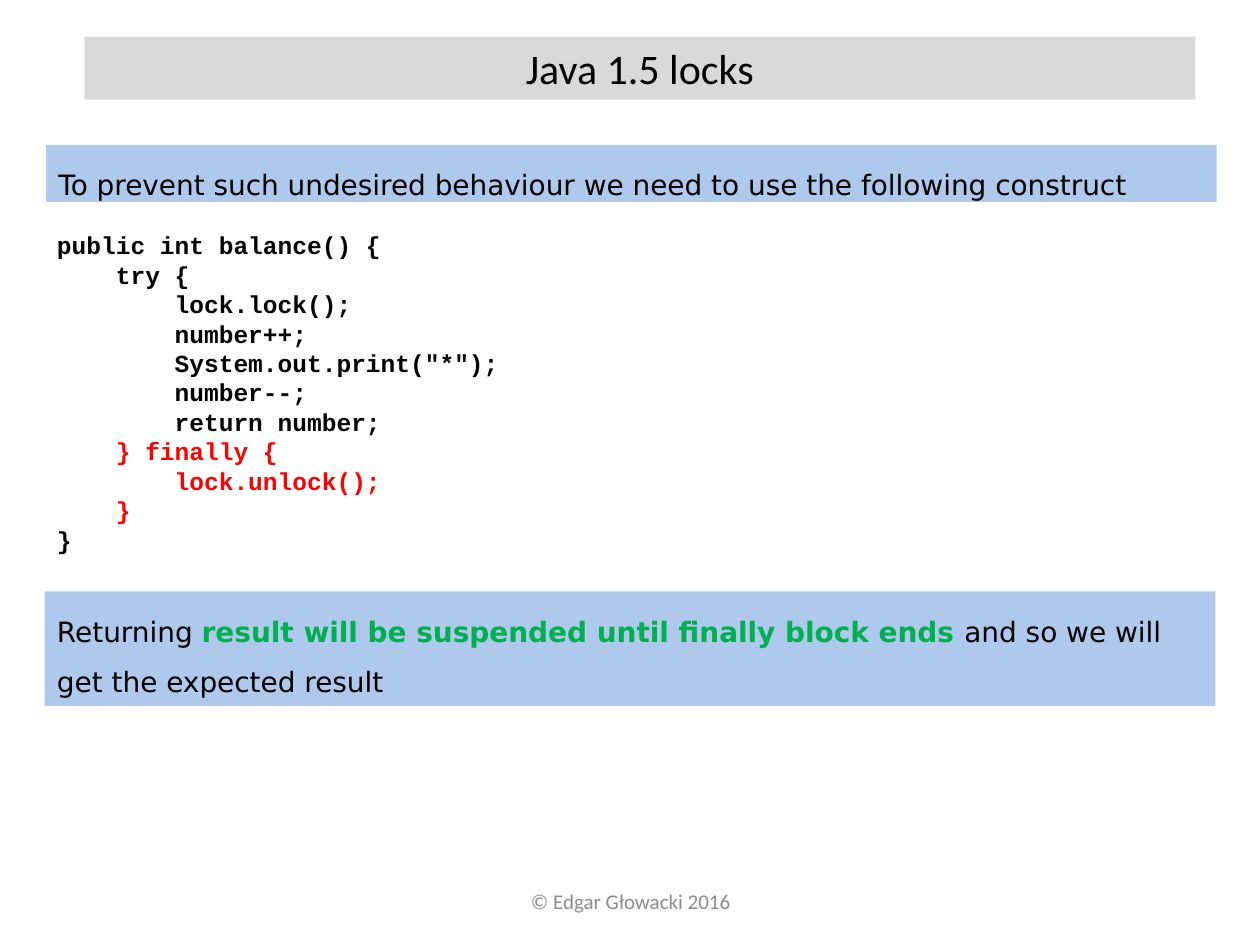
import pptx
import pptx.dml.color
import pptx.enum.shapes
import pptx.enum.text
import pptx.oxml
import pptx.oxml.ns
import pptx.util

Cm = pptx.util.Cm
Align = pptx.enum.text.PP_ALIGN
Anchor = pptx.enum.text.MSO_ANCHOR
Fit = pptx.enum.text.MSO_AUTO_SIZE

# Content: each paragraph is a list of (text, colour, bold) runs
BLACK, RED, GREEN = "000000", "FF0000", "00B050"
GREY, BLUE, PALE = "D9D9D9", "8EB4E3", "8C8C8C"

TITLE = [[("Java 1.5 locks", BLACK, False)]]
INTRO = [[("To prevent such undesired behaviour we need to use "
           "the following construct", BLACK, False)]]
CODE = """public int balance() {
    try {
        lock.lock();
        number++;
        System.out.print("*");
        number--;
        return number;
    } finally {
        lock.unlock();
    }
}""".split("\n")
MARKED = range(7, 10)  # lines of the finally block
RESULT = [[("Returning ", BLACK, False),
           ("result will be suspended until finally block ends ", GREEN, True),
           ("and so we will get the expected result", BLACK, False)]]
FOOTER = [[("© Edgar Głowacki 2016", PALE, False)]]


def rgb(code):
    return pptx.dml.color.RGBColor.from_string(code)


def add_text(slide, text, box, font, size, fill=None, alpha=None,
             align=Align.LEFT, anchor=Anchor.TOP, space=1.0, fit=Fit.SHAPE_TO_FIT_TEXT):
    """Place runs in a text box, or in a filled rectangle if fill is given."""
    place = [Cm(n) for n in box]
    if fill:
        kind = pptx.enum.shapes.MSO_SHAPE.RECTANGLE
        shape = slide.shapes.add_shape(kind, *place)
        shape.shadow.inherit = False
        shape.line.fill.background()
        shape.fill.solid()
        shape.fill.fore_color.rgb = rgb(fill)
        if alpha:
            tone = shape.fill._xPr.find(".//" + pptx.oxml.ns.qn("a:srgbClr"))
            tone.append(pptx.oxml.parse_xml(
                f'<a:alpha {pptx.oxml.ns.nsdecls("a")} val="{alpha * 1000}"/>'))
    else:
        shape = slide.shapes.add_textbox(*place)
    frame = shape.text_frame
    frame.word_wrap = True
    frame.auto_size = fit
    frame.vertical_anchor = anchor
    for i, runs in enumerate(text):
        para = frame.add_paragraph() if i else frame.paragraphs[0]
        para.alignment = align
        para.line_spacing = space
        for words, tint, bold in runs:
            run = para.add_run()
            run.text = words
            run.font.name = font
            run.font.size = pptx.util.Pt(size)
            run.font.bold = bold
            run.font.color.rgb = rgb(tint)


def main():
    deck = pptx.Presentation()
    deck.slide_width, deck.slide_height = Cm(25.4), Cm(19.05)
    slide = deck.slides.add_slide(deck.slide_layouts[6])

    # Footer and title bar
    add_text(slide, FOOTER, (8.69, 17.65, 8.05, 1.02), "Calibri", 12,
             align=Align.CENTER, anchor=Anchor.MIDDLE, fit=Fit.NONE)
    add_text(slide, TITLE, (1.7, 0.74, 22.4, 1.27), "Calibri", 24,
             fill=GREY, align=Align.CENTER)

    # Code between two tinted notes
    note = dict(font="DejaVu Sans", size=16, fill=BLUE, alpha=71, space=1.5)
    add_text(slide, INTRO, (0.93, 2.92, 23.6, 1.15), **note)
    code = [[(line, RED if i in MARKED else BLACK, True)]
            for i, line in enumerate(CODE)]
    add_text(slide, code, (0.9, 4.52, 9.8, 6.83), "Courier New", 14)
    add_text(slide, RESULT, (0.9, 11.92, 23.6, 2.31), **note)

    deck.save("out.pptx")


if __name__ == "__main__":
    main()
